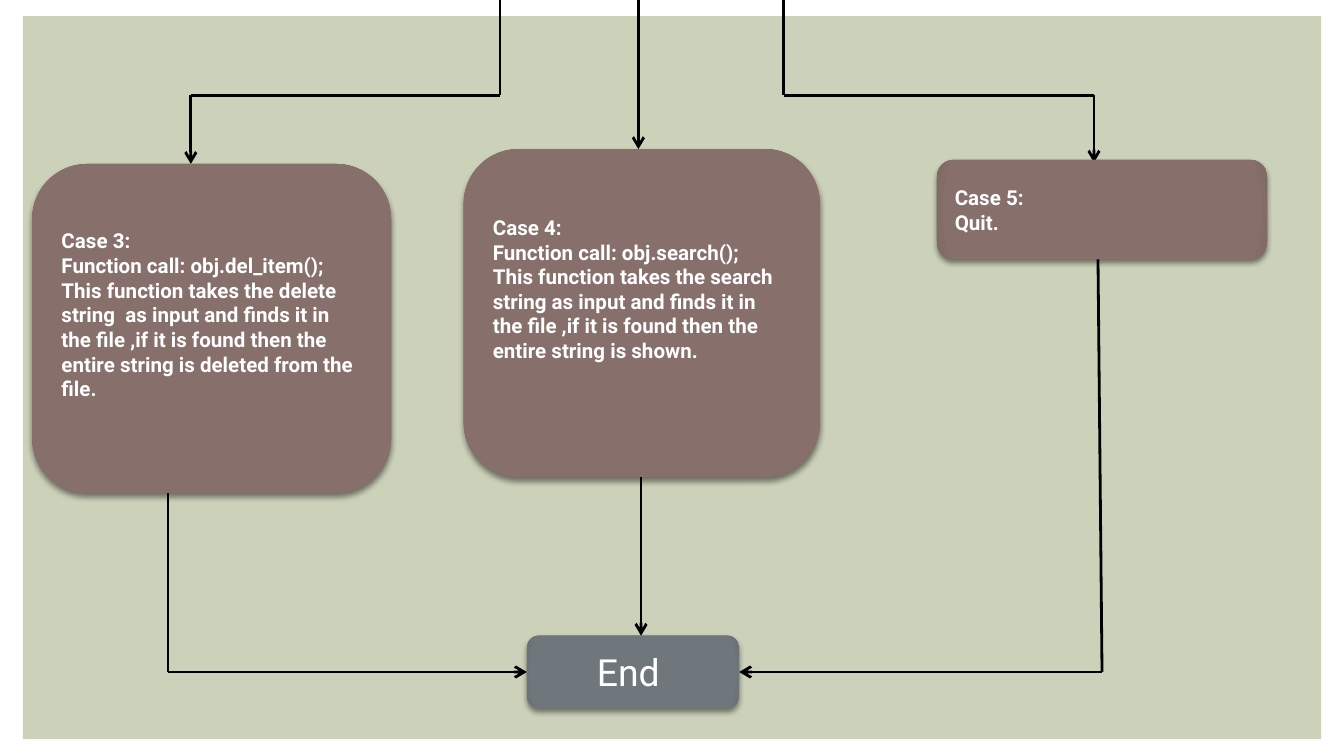
from dataclasses import dataclass
from itertools import pairwise

from lxml.etree import SubElement
from pptx import Presentation
from pptx.dml.color import RGBColor
from pptx.enum.shapes import MSO_CONNECTOR, MSO_SHAPE
from pptx.enum.text import MSO_ANCHOR, PP_ALIGN
from pptx.oxml import parse_xml
from pptx.oxml.ns import nsdecls, qn
from pptx.util import Inches, Pt

WIDTH = 10
HEIGHT = WIDTH * 9 / 16
COLORS = {
    "panel": "CCD1B9",
    "case": "87706B", "case_edge": "7E6864",
    "end": "6F777D", "end_edge": "676F74",
    "text": "FFFFFF", "line": "000000",
}
FORK_Y, JOIN_Y = 0.71, 5


@dataclass
class Box:
    """A rounded flowchart box; without a top inset its text is centred."""
    left: float
    top: float
    width: float
    height: float
    lines: tuple[str, ...]
    color: str = "case"
    inset: float | None = None
    size: int = 11
    bold: bool = True


@dataclass
class Route:
    """A chain of straight lines through points, ending in an arrowhead."""
    points: tuple[tuple[float, float], ...]


BOXES = (
    Box(0.24, 1.22, 2.67, 2.45, (
        "Case 3:", "Function call: obj.del_item();",
        "This function takes the delete string  as input and finds it in the "
        "file ,if it is found then the entire string is deleted from the file.",
    ), inset=0.36),
    Box(3.45, 1.11, 2.65, 2.44, (
        "Case 4:", "Function call: obj.search();",
        "This function takes the search string as input and finds it in the "
        "file ,if it is found then the entire string is shown.",
    ), inset=0.37),
    Box(6.97, 1.19, 2.46, 0.74, ("Case 5:", "Quit."), inset=0.15),
    Box(3.92, 4.73, 1.58, 0.54, ("End ",), color="end", size=20, bold=False),
)
ROUTES_IN = (
    Route(((3.72, 0), (3.72, FORK_Y), (1.42, FORK_Y), (1.42, 1.22))),
    Route(((4.75, 0), (4.75, FORK_Y), (4.75, 1.11))),
    Route(((5.83, 0), (5.83, FORK_Y), (8.14, FORK_Y), (8.14, 1.21))),
)
ROUTES_OUT = (
    Route(((1.25, 3.67), (1.25, JOIN_Y), (3.92, JOIN_Y))),
    Route(((4.77, 3.55), (4.77, 4.73))),
    Route(((8.17, 1.93), (8.2, JOIN_Y), (5.5, JOIN_Y))),
)


def rgb(name: str) -> RGBColor:
    """Look up a named colour."""
    return RGBColor.from_string(COLORS[name])


def add_panel(shapes) -> None:
    """Draw the pale panel behind the chart."""
    place = map(Inches, (0.17, 0.12, WIDTH - 0.34, 5.38))
    sp = shapes.add_shape(MSO_SHAPE.RECTANGLE, *place)
    sp.shadow.inherit = False
    sp.fill.solid()
    sp.fill.fore_color.rgb = rgb("panel")
    sp.line.fill.background()


def style_box(sp, color: str) -> None:
    """Give a box its radial gradient and soft shadow."""
    sp.line.fill.background()
    sp.fill.gradient()
    stops = ((0.9, color), (1, f"{color}_edge"))
    for stop, (position, name) in zip(sp.fill.gradient_stops, stops):
        stop.position = position
        stop.color.rgb = rgb(name)
    lin = next(sp.element.iter(qn("a:lin")))
    lin.getparent().replace(lin, parse_xml(
        f'<a:path {nsdecls("a")} path="circle"><a:fillToRect l="100000" '
        't="100000" r="100000" b="100000"/></a:path>'))
    sp.shadow.inherit = False
    next(sp.element.iter(qn("a:effectLst"))).append(parse_xml(
        f'<a:outerShdw {nsdecls("a")} blurRad="{Pt(3)}" dist="{Pt(2)}" '
        'dir="5400000" rotWithShape="0"><a:srgbClr val="000000">'
        '<a:alpha val="45000"/></a:srgbClr></a:outerShdw>'))


def add_box(shapes, box: Box) -> None:
    """Draw one rounded box with its text."""
    place = map(Inches, (box.left, box.top, box.width, box.height))
    sp = shapes.add_shape(MSO_SHAPE.ROUNDED_RECTANGLE, *place)
    style_box(sp, box.color)
    tf = sp.text_frame
    tf.word_wrap = True
    centred = box.inset is None
    tf.vertical_anchor = MSO_ANCHOR.MIDDLE if centred else MSO_ANCHOR.TOP
    if not centred:
        tf.margin_top = Inches(box.inset)
    font = {"name": "Roboto", "size": Pt(box.size), "bold": box.bold}
    for i, line in enumerate(box.lines):
        p = tf.add_paragraph() if i else tf.paragraphs[0]
        p.alignment = PP_ALIGN.CENTER if centred else PP_ALIGN.LEFT
        r = p.add_run()
        r.text = line
        for key, value in font.items():
            setattr(r.font, key, value)
        r.font.color.rgb = rgb("text")


def add_route(shapes, route: Route) -> None:
    """Draw a chain of connectors, with an arrowhead on the last."""
    for start, end in pairwise(route.points):
        cx = shapes.add_connector(MSO_CONNECTOR.STRAIGHT,
                                  *map(Inches, start + end))
        cx.line.width = Pt(1.5)
        cx.line.color.rgb = rgb("line")
        if end == route.points[-1]:
            ln = next(cx.element.iter(qn("a:ln")))
            SubElement(ln, qn("a:tailEnd"), type="arrow")
        SubElement(cx.element.spPr, qn("a:effectLst"))


def main() -> None:
    """Build the slide."""
    prs = Presentation()
    prs.slide_width, prs.slide_height = Inches(WIDTH), Inches(HEIGHT)
    shapes = prs.slides.add_slide(prs.slide_layouts[6]).shapes
    add_panel(shapes)
    for route in ROUTES_IN:
        add_route(shapes, route)
    for box in BOXES:
        add_box(shapes, box)
    for route in ROUTES_OUT:
        add_route(shapes, route)
    prs.save("out.pptx")


main()
